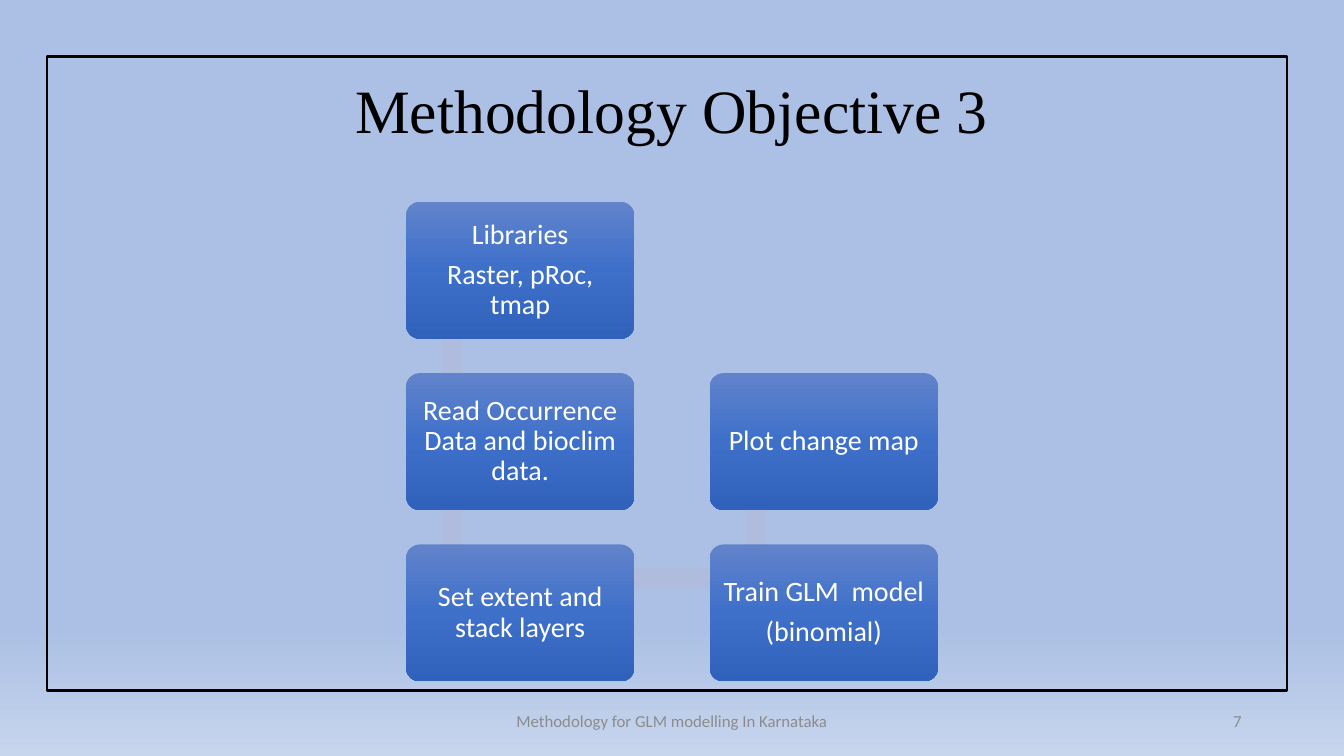
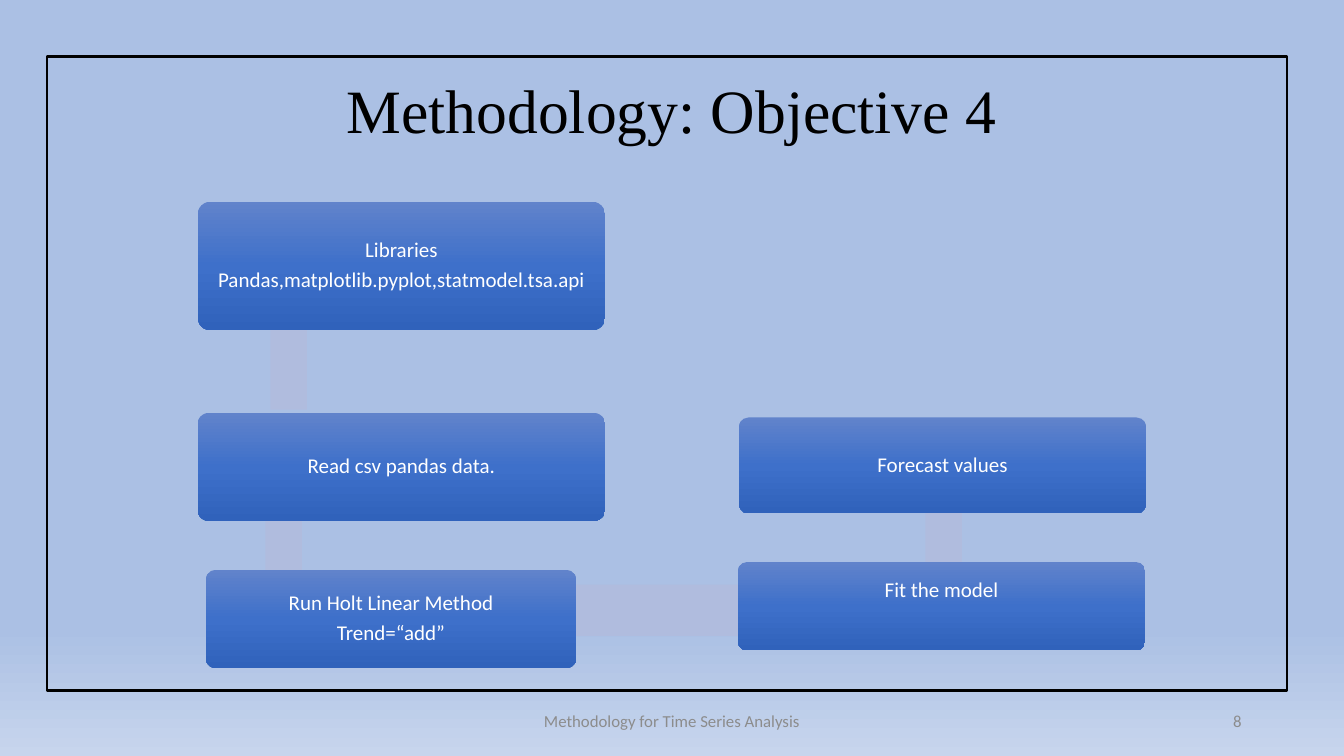
import copy

import pptx
import pptx.dml.color
import pptx.enum.shapes
import pptx.enum.text
import pptx.util

Pt = pptx.util.Pt
SHAPE = pptx.enum.shapes.MSO_SHAPE
ALIGN = pptx.enum.text.PP_ALIGN
ANCHOR = pptx.enum.text.MSO_ANCHOR

COLOURS = {
    "sky": "ABC0E4",
    "haze": "C7D5ED",
    "node_top": "6183CB",
    "node_middle": "3E70CA",
    "node_bottom": "3062BB",
    "bar": "B0BCDE",
    "ink": "000000",
    "footer": "8C8C8C",
    "white": "FFFFFF",
}
TITLE_FONT = "Times New Roman"
BODY_FONT = "Calibri"


def rgb(name):
    return pptx.dml.color.RGBColor.from_string(COLOURS[name])


def fill_gradient(fill, owner, stops):
    """Fill from top to bottom with (position, colour name) stops."""
    fill.gradient()
    fill.gradient_angle = 270
    stop_list = owner.xpath(".//a:gsLst")[0]
    while len(stop_list) < len(stops):
        stop_list.append(copy.deepcopy(stop_list[0]))
    for stop, (position, colour) in zip(fill.gradient_stops, stops):
        stop.position = position
        stop.color.rgb = rgb(colour)


def write(frame, lines, size, colour, font=BODY_FONT, align=ALIGN.CENTER,
          spacing=1.0, after=0):
    frame.word_wrap = True
    frame.vertical_anchor = ANCHOR.MIDDLE
    for index, line in enumerate(lines):
        para = frame.add_paragraph() if index else frame.paragraphs[0]
        para.alignment = align
        para.line_spacing = spacing
        para.space_after = Pt(after)
        span = para.add_run()
        span.text = line
        span.font.size = Pt(size)
        span.font.name = font
        span.font.color.rgb = rgb(colour)


def add_text(page, area, text, size, colour, **style):
    box = page.shapes.add_textbox(*map(Pt, area))
    write(box.text_frame, [text], size, colour, **style)


def add_plain_shape(page, preset, area):
    shape = page.shapes.add_shape(preset, *map(Pt, area))
    shape.shadow.inherit = False
    shape.line.fill.background()
    return shape


def add_bar(page, area):
    bar = add_plain_shape(page, SHAPE.RECTANGLE, area)
    bar.fill.solid()
    bar.fill.fore_color.rgb = rgb("bar")


def add_node(page, area, lines, size, inset, lift=0):
    """Rounded step box; lift is extra space kept below the text."""
    node = add_plain_shape(page, SHAPE.ROUNDED_RECTANGLE, area)
    node.adjustments[0] = 0.1
    fill_gradient(node.fill, node._element,
                  [(0, "node_top"), (0.5, "node_middle"), (1, "node_bottom")])
    frame = node.text_frame
    frame.margin_left = frame.margin_right = frame.margin_top = Pt(inset)
    frame.margin_bottom = Pt(inset + lift)
    write(frame, lines, size, "white", spacing=0.9, after=0.35 * size)


def add_frame(page):
    border = add_plain_shape(page, SHAPE.RECTANGLE, (33.8, 40.3, 885.6, 452.9))
    border.fill.background()
    border.line.color.rgb = rgb("ink")
    border.line.width = Pt(1.75)


def add_page(deck, title, footer, number):
    page = deck.slides.add_slide(deck.slide_layouts[6])
    fill_gradient(page.background.fill, page._element,
                  [(0.74, "sky"), (0.83, "sky"), (1, "haze")])
    add_text(page, (66, 28.8, 828, 104.4), title, 44, "ink",
             font=TITLE_FONT, spacing=0.9)
    add_text(page, (318, 500.4, 324, 28.8), footer, 12, "footer")
    add_text(page, (678, 500.4, 216, 28.8), number, 12, "footer",
             align=ALIGN.RIGHT)
    return page


def add_glm_flow(page):
    # Steps run down the first column, then up the second
    steps = [
        (0, 0, ["Libraries", "Raster, pRoc, tmap"]),
        (0, 1, ["Read Occurrence Data and bioclim data."]),
        (0, 2, ["Set extent and stack layers"]),
        (1, 2, ["Train GLM  model", "(binomial)"]),
        (1, 1, ["Plot change map"]),
    ]
    thickness = 14.4
    corners = [(290.1, 144.1)] * len(steps)
    corners = [(left + 216.9 * column, top + 122.4 * row)
               for (left, top), (column, row, _) in zip(corners, steps)]
    # Each bar joins the same inner point of two consecutive steps
    for (x1, y1), (x2, y2) in zip(corners, corners[1:]):
        left, top = min(x1, x2) + 32.8, min(y1, y2) + 24.2
        if x1 == x2:
            add_bar(page, (left - thickness / 2, top, thickness, abs(y2 - y1)))
        else:
            add_bar(page, (left, top - thickness / 2, x2 - x1, thickness))
    for corner, (_, _, lines) in zip(corners, steps):
        add_node(page, (*corner, 163, 97.8), lines, 20, 5.7)


def add_forecast_flow(page):
    bars = [
        (193.2, 149, 26, 143.6),
        (189.6, 300, 26, 108.7),
        (405.4, 417.6, 128.9, 36.7),
        (661, 301.7, 26, 100.8),
    ]
    steps = [
        ((141.3, 144, 290.8, 91.8),
         ["Libraries", "Pandas,matplotlib.pyplot,statmodel.tsa.api"], 0),
        ((141.3, 295, 290.8, 77), ["Read csv pandas data."], 0),
        ((147, 407, 264.6, 70.2),
         ["Run Holt Linear Method", "Trend=“add”"], 0),
        ((527.1, 401.5, 290.8, 63), ["Fit the model"], 22),
        ((527.8, 298.2, 290.8, 68.6), ["Forecast values"], 0),
    ]
    for area in bars:
        add_bar(page, area)
    for area, lines, lift in steps:
        add_node(page, area, lines, 15, 4.3, lift)


def main():
    deck = pptx.Presentation()
    deck.slide_width, deck.slide_height = Pt(960), Pt(540)
    pages = [
        ("Methodology Objective 3",
         "Methodology for GLM modelling In Karnataka", "7", add_glm_flow),
        ("Methodology: Objective 4",
         "Methodology for Time Series Analysis", "8", add_forecast_flow),
    ]
    for title, footer, number, add_flow in pages:
        page = add_page(deck, title, footer, number)
        add_flow(page)
        add_frame(page)
    deck.save("out.pptx")


if __name__ == "__main__":
    main()
